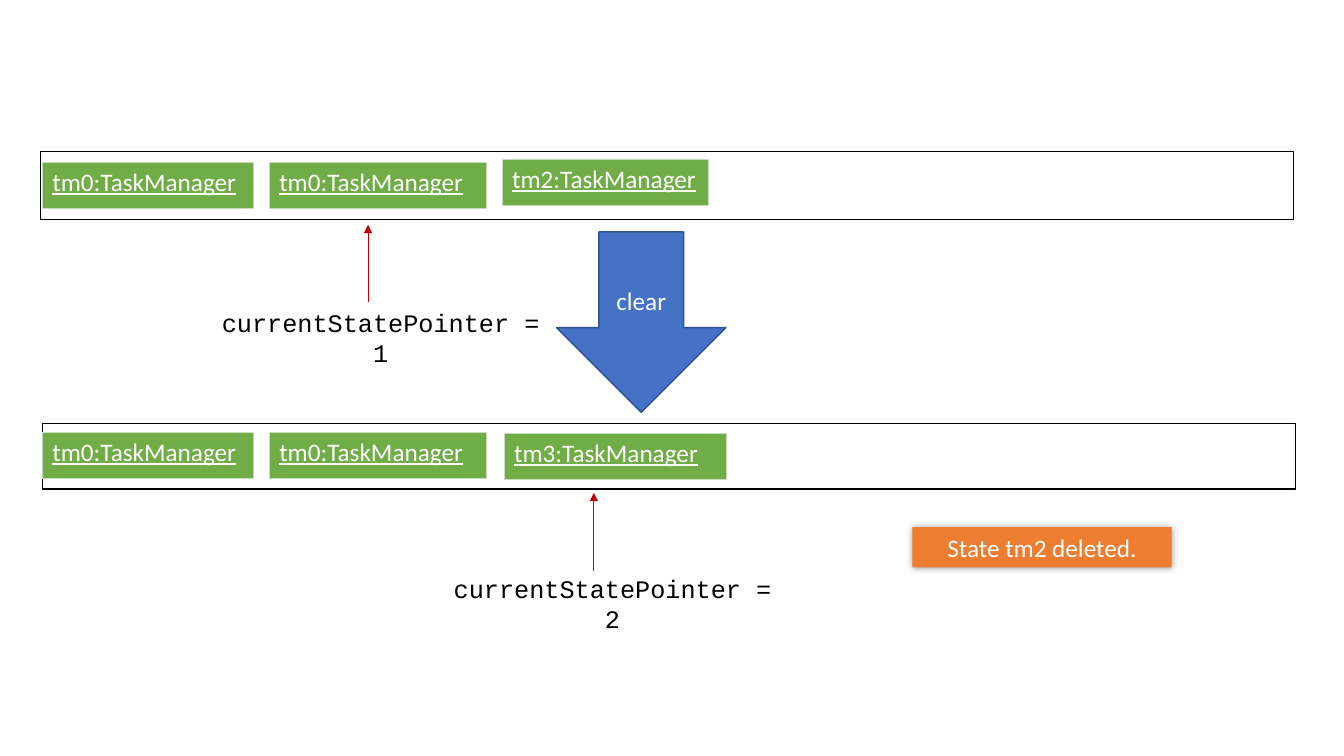
from dataclasses import dataclass

from lxml import etree
from pptx import Presentation
from pptx.dml.color import RGBColor
from pptx.enum.shapes import MSO_CONNECTOR, MSO_SHAPE
from pptx.enum.text import MSO_ANCHOR, MSO_AUTO_SIZE, PP_ALIGN
from pptx.oxml import parse_xml
from pptx.oxml.ns import nsdecls, qn
from pptx.util import Inches, Pt

RECT, DOWN = MSO_SHAPE.RECTANGLE, MSO_SHAPE.DOWN_ARROW
STRAIGHT = MSO_CONNECTOR.STRAIGHT
CENTER = PP_ALIGN.CENTER
TOP, MIDDLE = MSO_ANCHOR.TOP, MSO_ANCHOR.MIDDLE
GROW = MSO_AUTO_SIZE.SHAPE_TO_FIT_TEXT

WHITE, BLACK, RED = "FFFFFF", "000000", "C00000"
BLUE, NAVY, ORANGE = "4472C4", "325491", "ED7D31"
GREEN, PALE = "70AD47", "C9DBC1"
SANS, MONO = "Calibri", "Courier New"


@dataclass
class Box:
    left: float
    top: float
    width: float
    height: float

    def place(self) -> list:
        return [Inches(v) for v in (self.left, self.top, self.width, self.height)]


@dataclass
class State:
    text: str
    left: float
    top: float
    width: float


@dataclass
class Pointer:
    text: str
    box: Box
    x: float
    start: float
    end: float


FRAMES = [Box(0.4, 1.5, 12.43, 0.68), Box(0.42, 4.2, 12.43, 0.65)]
STATES = [
    State("tm0:TaskManager", 0.42, 1.61, 2.09),
    State("tm0:TaskManager", 2.67, 1.61, 2.15),
    State("tm2:TaskManager", 4.98, 1.58, 2.05),
    State("tm0:TaskManager", 0.42, 4.29, 2.09),
    State("tm0:TaskManager", 2.67, 4.29, 2.15),
    State("tm3:TaskManager", 5, 4.3, 2.2),
]
POINTERS = [
    Pointer("currentStatePointer = 1", Box(2.02, 3, 3.51, 0.4), 3.65, 3, 2.23),
    Pointer("currentStatePointer = 2", Box(4.32, 5.64, 3.51, 0.4), 5.89, 5.66, 4.89),
]


def paint(target, color: str) -> None:
    """Give a fill a solid colour."""
    target.solid()
    target.fore_color.rgb = RGBColor.from_string(color)


def write(frame, text: str, color: str, font: str = SANS):
    frame.word_wrap = True
    para = frame.paragraphs[0]
    para.text = text
    para.font.size = Pt(18)
    para.font.name = font
    para.font.color.rgb = RGBColor.from_string(color)
    return para


def add_shape(slide, kind, box: Box, fill: str = "", line: str = ""):
    shape = slide.shapes.add_shape(kind, *box.place())
    shape.shadow.inherit = False
    if fill:
        paint(shape.fill, fill)
    else:
        shape.fill.background()
    if line:
        paint(shape.line.fill, line)
        shape.line.width = Pt(1)
    else:
        shape.line.fill.background()
    return shape


def add_clear(slide) -> None:
    arrow = add_shape(slide, DOWN, Box(5.52, 2.3, 1.68, 1.79), BLUE, NAVY)
    arrow.text_frame.vertical_anchor = MIDDLE
    write(arrow.text_frame, "clear", WHITE).alignment = CENTER


def add_note(slide) -> None:
    note = add_shape(slide, RECT, Box(9.05, 5.23, 2.57, 0.4), ORANGE)
    note.text_frame.vertical_anchor = TOP
    write(note.text_frame, "State tm2 deleted.", WHITE).alignment = CENTER
    note.text_frame.auto_size = GROW
    glow = parse_xml(
        f'<a:outerShdw {nsdecls("a")} blurRad="{Pt(5)}" dist="0" dir="0" '
        f'algn="ctr" rotWithShape="0"><a:srgbClr val="{BLACK}">'
        '<a:alpha val="40000"/></a:srgbClr></a:outerShdw>'
    )
    note._element.spPr.find(qn("a:effectLst")).append(glow)


def add_label(slide, item: Pointer) -> None:
    label = slide.shapes.add_textbox(*item.box.place())
    write(label.text_frame, item.text, BLACK, MONO).alignment = CENTER
    label.text_frame.auto_size = GROW


def add_state(slide, state: State) -> None:
    box = Box(state.left, state.top, state.width, 0.46)
    table = slide.shapes.add_table(1, 1, *box.place()).table
    table.first_row = table.horz_banding = False
    cell = table.cell(0, 0)
    props = cell._tc.get_or_add_tcPr()
    for side in ("lnL", "lnR", "lnT", "lnB"):
        props.append(parse_xml(
            f'<a:{side} {nsdecls("a")} w="{Pt(0.5)}"><a:solidFill>'
            f'<a:srgbClr val="{PALE}"/></a:solidFill></a:{side}>'
        ))
    paint(cell.fill, GREEN)
    para = write(cell.text_frame, state.text, WHITE)
    para.runs[0].font.underline = True


def add_arrow(slide, item: Pointer) -> None:
    ends = [Inches(v) for v in (item.x, item.start, item.x, item.end)]
    arrow = slide.shapes.add_connector(STRAIGHT, *ends)
    paint(arrow.line.fill, RED)
    arrow.line.width = Pt(0.5)
    props = arrow._element.spPr
    etree.SubElement(props.find(qn("a:ln")), qn("a:tailEnd"), type="triangle")
    etree.SubElement(props, qn("a:effectLst"))


def main() -> None:
    deck = Presentation()
    deck.slide_width, deck.slide_height = Inches(13.33), Inches(7.5)
    slide = deck.slides.add_slide(deck.slide_layouts[6])
    add_clear(slide)
    add_note(slide)
    for item, frame in zip(POINTERS, FRAMES):
        add_label(slide, item)
        add_shape(slide, RECT, frame, line=BLACK)
    for state in STATES:
        add_state(slide, state)
    for item in POINTERS:
        add_arrow(slide, item)
    deck.save("out.pptx")


if __name__ == "__main__":
    main()
